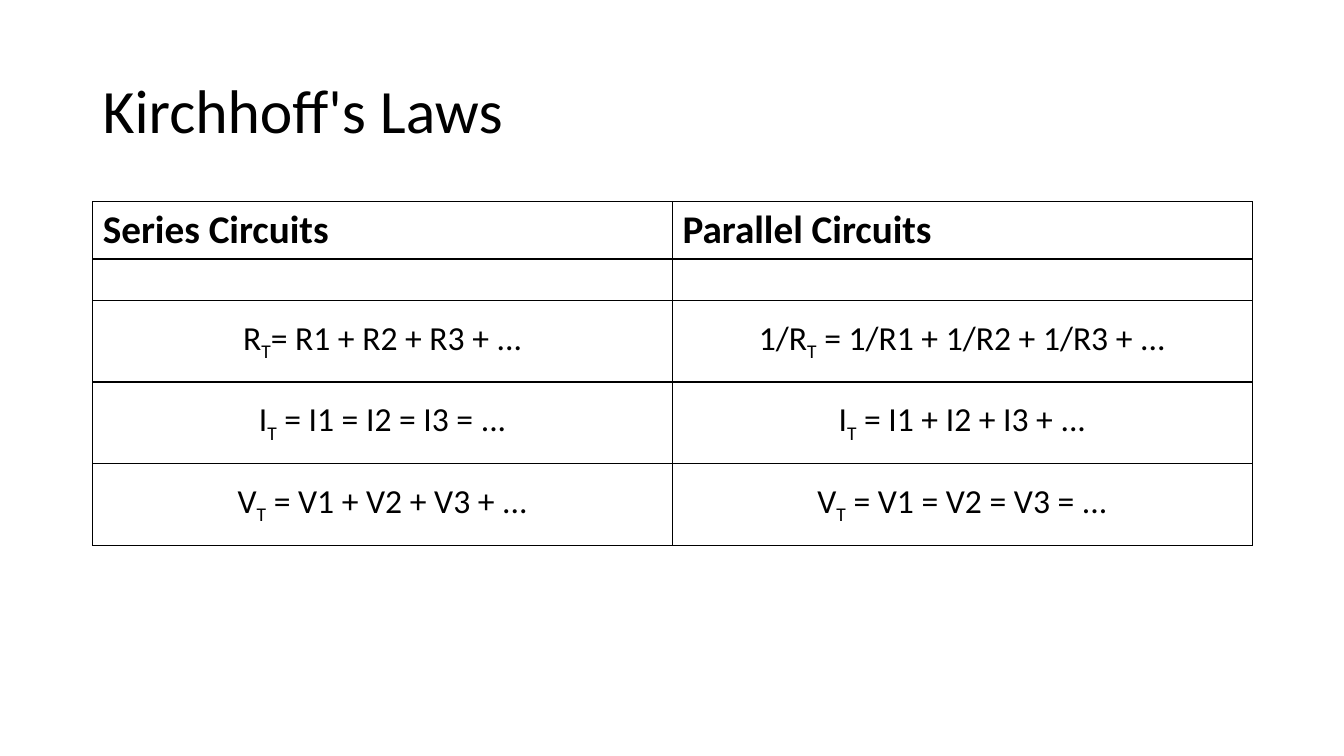
from lxml.etree import SubElement
from pptx import Presentation
from pptx.dml.color import RGBColor
from pptx.enum.text import MSO_ANCHOR, PP_ALIGN
from pptx.oxml.ns import qn
from pptx.util import Inches, Pt

TITLE = "Kirchhoff's Laws"
HEADS = ["Series Circuits", "Parallel Circuits"]
# Each formula: symbol, subscript, rest
LAWS = [
    [("R", "T", "= R1 + R2 + R3 + ..."),
     ("1/R", "T", " = 1/R1 + 1/R2 + 1/R3 + ...")],
    [("I", "T", " = I1 = I2 = I3 = ..."),
     ("I", "T", " = I1 + I2 + I3 + ...")],
    [("V", "T", " = V1 + V2 + V3 + ..."),
     ("V", "T", " = V1 = V2 = V3 = ...")],
]
ROWS = [0.57, 0.41, 0.81, 0.81, 0.81]
LEFT, WIDTH = 0.92, 11.5
BLACK = RGBColor(0, 0, 0)
FONT = "Calibri"


def add_run(para, text, size, bold=False):
    run = para.add_run()
    run.text = text
    run.font.name = FONT
    run.font.size = Pt(size)
    run.font.bold = bold
    run.font.color.rgb = BLACK
    return run


def add_border(cell):
    props = cell._tc.get_or_add_tcPr()
    for side in ("lnL", "lnR", "lnT", "lnB"):
        line = SubElement(props, qn(f"a:{side}"), w=str(Pt(1)))
        fill = SubElement(line, qn("a:solidFill"))
        SubElement(fill, qn("a:srgbClr"), val=str(BLACK))


def add_title(slide):
    box = slide.shapes.add_textbox(
        Inches(LEFT), Inches(0.4), Inches(WIDTH), Inches(1.45))
    frame = box.text_frame
    frame.word_wrap = True
    frame.vertical_anchor = MSO_ANCHOR.MIDDLE
    para = frame.paragraphs[0]
    para.line_spacing = 0.9
    add_run(para, TITLE, 44)


def add_laws(slide):
    table = slide.shapes.add_table(
        len(ROWS), len(HEADS), Inches(LEFT), Inches(2),
        Inches(WIDTH), Inches(sum(ROWS))).table
    table.first_row = table.horz_banding = False
    for row, height in zip(table.rows, ROWS):
        row.height = Inches(height)
    for cell in table.iter_cells():
        add_border(cell)
        cell.fill.background()
    for col, head in enumerate(HEADS):
        table.columns[col].width = Inches(WIDTH / len(HEADS))
        add_run(table.cell(0, col).text_frame.paragraphs[0], head, 28, True)
    for row, pair in enumerate(LAWS, 2):
        for col, (symbol, sub, rest) in enumerate(pair):
            cell = table.cell(row, col)
            cell.vertical_anchor = MSO_ANCHOR.MIDDLE
            para = cell.text_frame.paragraphs[0]
            para.alignment = PP_ALIGN.CENTER
            add_run(para, symbol, 24)
            low = add_run(para, sub, 24)
            low.font._element.set("baseline", "-25000")
            add_run(para, rest, 24)


def main():
    deck = Presentation()
    deck.slide_width, deck.slide_height = Inches(13.33), Inches(7.5)
    slide = deck.slides.add_slide(deck.slide_layouts[6])
    add_title(slide)
    add_laws(slide)
    deck.save("out.pptx")


if __name__ == "__main__":
    main()
